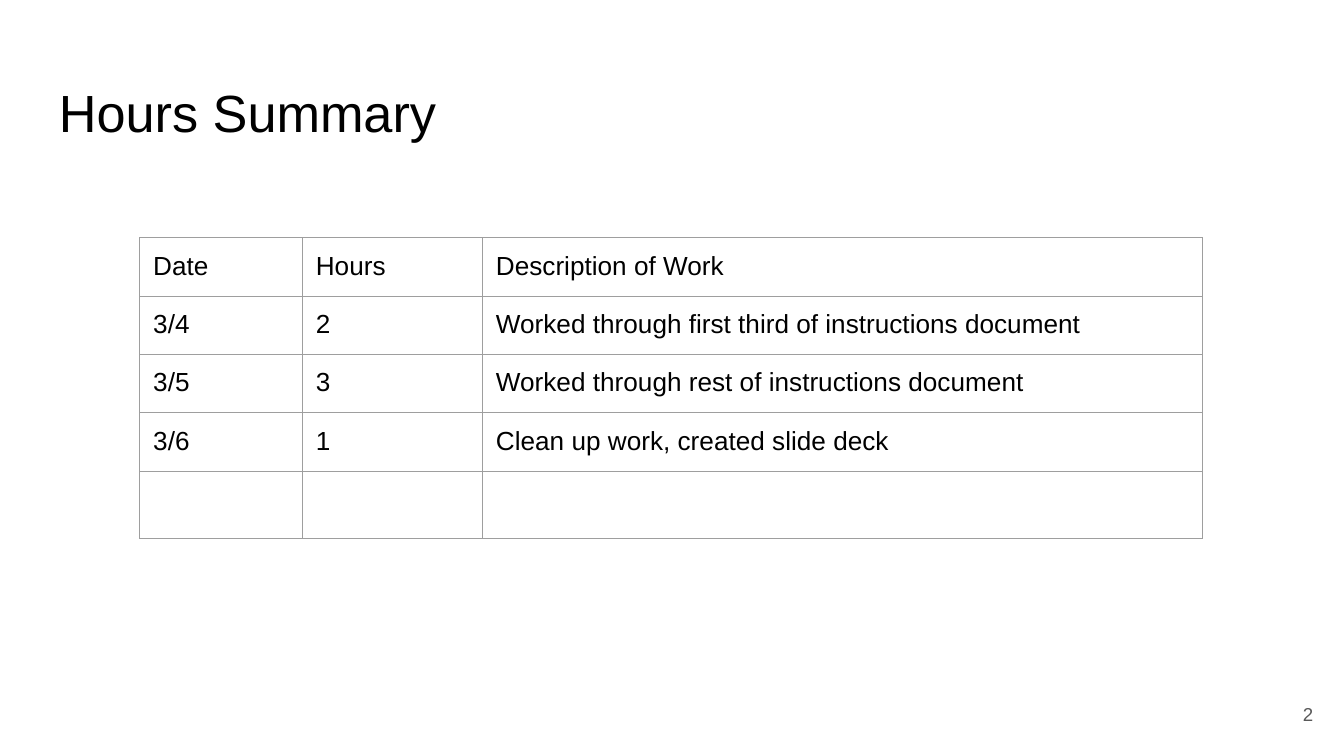
from pptx import Presentation
from pptx.dml.color import RGBColor
from pptx.enum.text import MSO_ANCHOR, PP_ALIGN
from pptx.oxml.ns import qn
from pptx.util import Inches, Pt
from lxml import etree

TOP, MIDDLE = MSO_ANCHOR.TOP, MSO_ANCHOR.MIDDLE
LEFT, RIGHT = PP_ALIGN.LEFT, PP_ALIGN.RIGHT
COLORS = {"text": "000000", "page": "595959", "grid": "9E9E9E", "back": "FFFFFF"}
FONT = "Arial"
WIDTHS = [1.21, 1.34, 5.36]
ROWS = [
    ["Date", "Hours", "Description of Work"],
    ["3/4", "2", "Worked through first third of instructions document"],
    ["3/5", "3", "Worked through rest of instructions document"],
    ["3/6", "1", "Clean up work, created slide deck"],
    ["", "", ""],
]


class Deck:
    """Holds the style and the current slide."""

    def __init__(self, width, ratio):
        self.prs = Presentation()
        self.prs.slide_width = Inches(width)
        self.prs.slide_height = Inches(width * ratio)
        self.slide = self.prs.slides.add_slide(self.prs.slide_layouts[6])
        fill = self.slide.background.fill
        fill.solid()
        fill.fore_color.rgb = RGBColor.from_string(COLORS["back"])

    def style(self, frame, size, color="text", align=LEFT):
        for para in frame.paragraphs:
            para.alignment = align
            for run in para.runs:
                run.font.name, run.font.size = FONT, Pt(size)
                run.font.color.rgb = RGBColor.from_string(COLORS[color])
            end = etree.SubElement(para._p, qn("a:endParaRPr"), sz=str(size * 100))
            etree.SubElement(end, qn("a:latin"), typeface=FONT)

    def inset(self, item):
        item.margin_left = item.margin_right = Inches(0.1)
        item.margin_top = item.margin_bottom = Inches(0.1)

    def text(self, box, words, size, color="text", align=LEFT, anchor=TOP):
        frame = self.slide.shapes.add_textbox(*map(Inches, box)).text_frame
        frame.word_wrap = True
        frame.vertical_anchor = anchor
        self.inset(frame)
        frame.text = words
        self.style(frame, size, color, align)

    def border(self, cell, width=0.75):
        props = cell._tc.get_or_add_tcPr()
        for place, side in enumerate(("lnL", "lnR", "lnT", "lnB")):
            line = etree.Element(qn(f"a:{side}"), w=str(Pt(width)))
            fill = etree.SubElement(line, qn("a:solidFill"))
            etree.SubElement(fill, qn("a:srgbClr"), val=COLORS["grid"])
            props.insert(place, line)

    def table(self, left, top, widths, height, rows, size, blank=18):
        box = map(Inches, (left, top, sum(widths), height * len(rows)))
        table = self.slide.shapes.add_table(len(rows), len(widths), *box).table
        table.first_row = table.horz_banding = False
        for col, width in zip(table.columns, widths):
            col.width = Inches(width)
        for row, words in zip(table.rows, rows):
            row.height = Inches(height)
            for cell, word in zip(row.cells, words):
                cell.fill.background()
                self.inset(cell)
                self.border(cell)
                if word:
                    cell.text_frame.text = word
                self.style(cell.text_frame, size if word else blank)


def main():
    deck = Deck(10, 9 / 16)
    deck.text((0.34, 0.5, 9.32, 0.63), "Hours Summary", 28)
    deck.table(1.04, 1.77, WIDTHS, 0.42, ROWS, 14)
    deck.text((9.27, 5.1, 0.6, 0.43), "2", 10, "page", RIGHT, MIDDLE)
    deck.prs.save("out.pptx")


if __name__ == "__main__":
    main()
